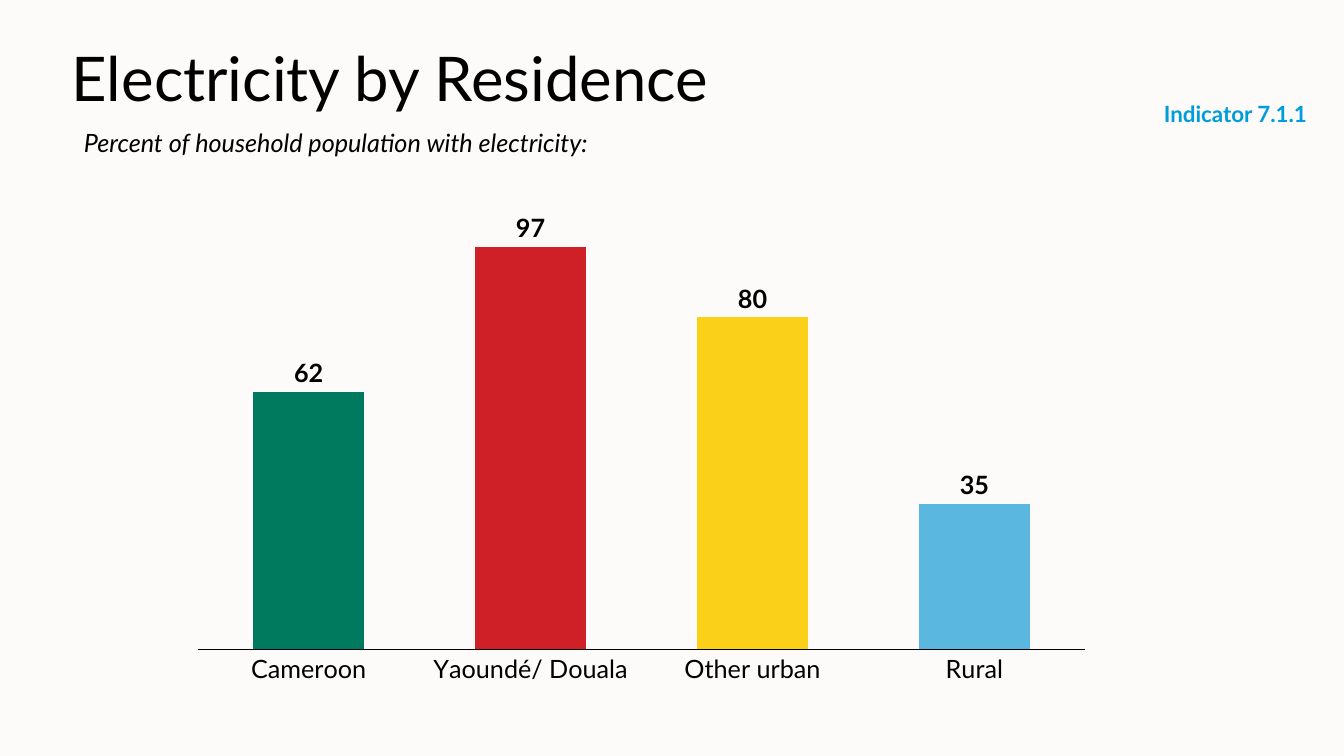
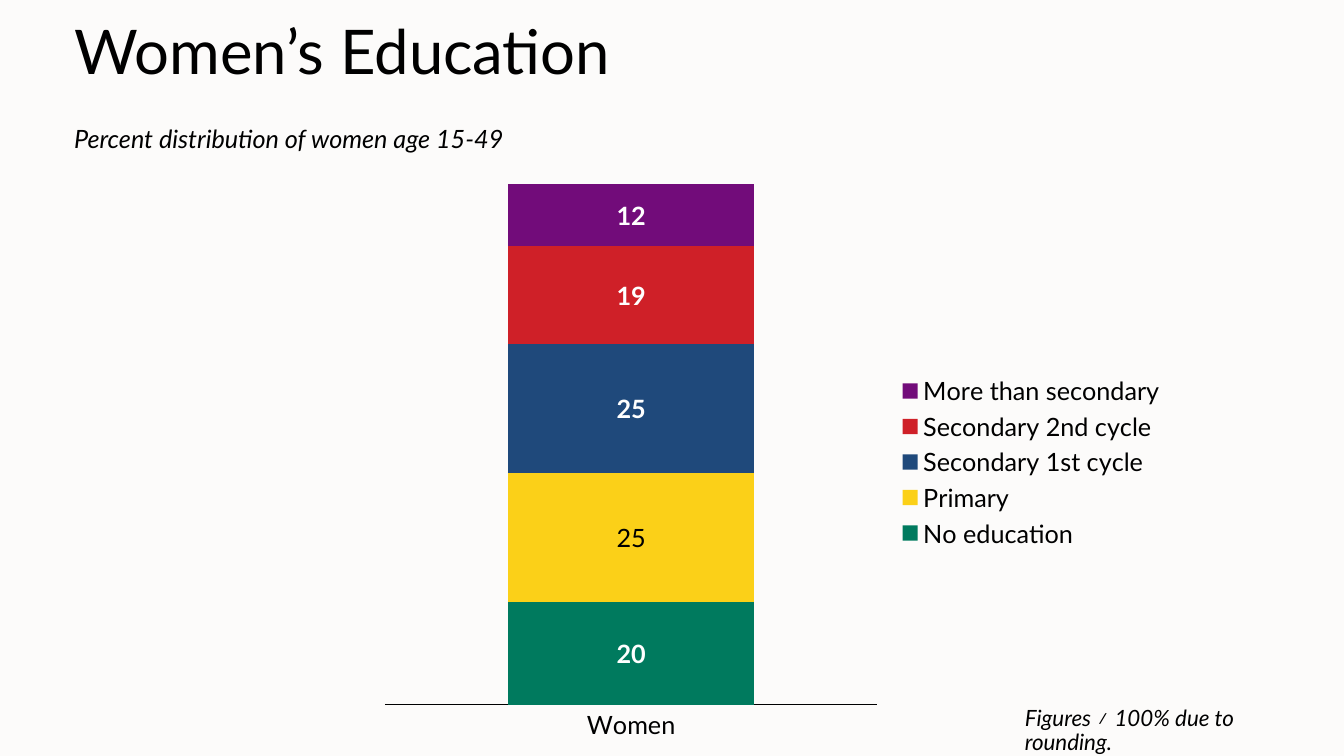
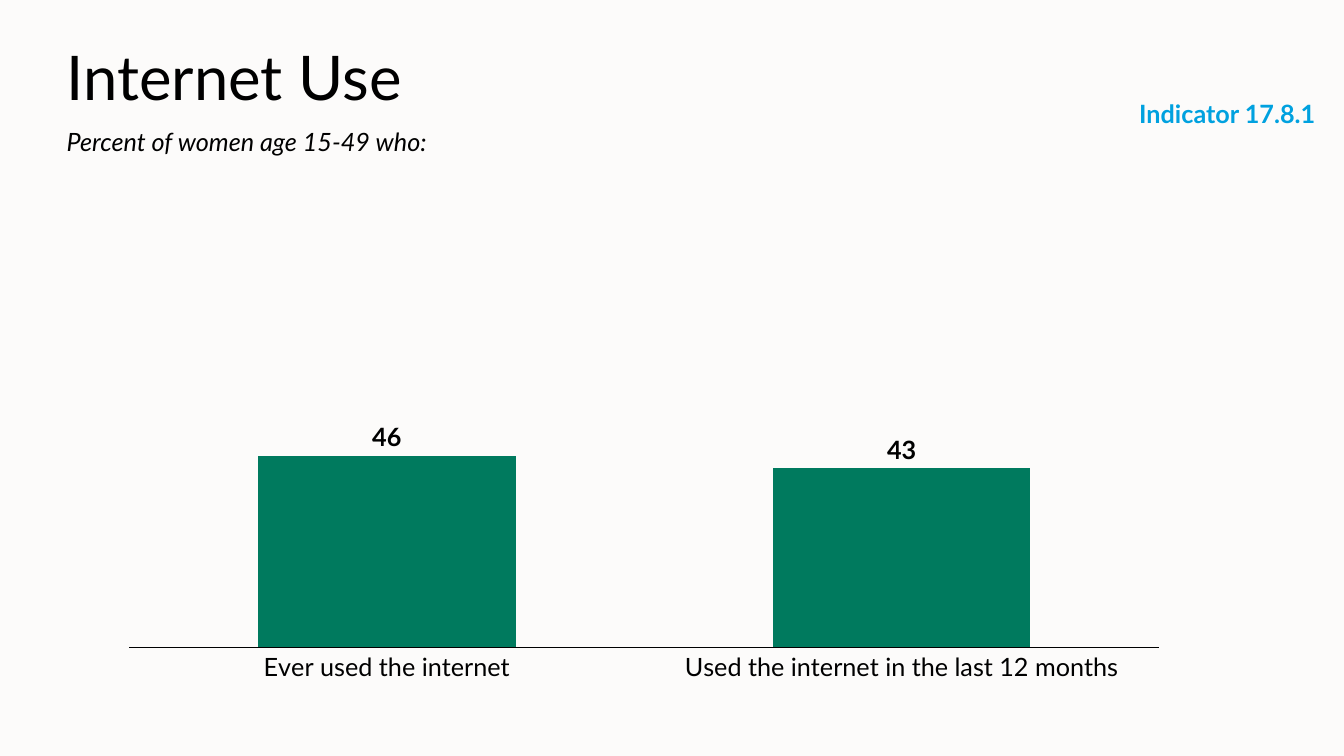
from dataclasses import dataclass

from lxml.etree import SubElement
from pptx import Presentation
from pptx.chart.data import CategoryChartData
from pptx.dml.color import RGBColor
from pptx.enum.chart import XL_CHART_TYPE as ChartType
from pptx.enum.chart import XL_LABEL_POSITION as LabelPos
from pptx.enum.chart import XL_LEGEND_POSITION as LegendPos
from pptx.enum.chart import XL_TICK_LABEL_POSITION as TickLabelPos
from pptx.enum.chart import XL_TICK_MARK as TickMark
from pptx.enum.text import MSO_ANCHOR as Anchor
from pptx.enum.text import MSO_AUTO_SIZE as AutoSize
from pptx.enum.text import PP_ALIGN as Align
from pptx.oxml.ns import qn
from pptx.util import Pt


@dataclass(frozen=True)
class Theme:
    font: str = "Lato"
    paper: str = "FCFBFA"
    ink: str = "000000"
    white: str = "FFFFFF"
    green: str = "007A5E"
    red: str = "CF2028"
    yellow: str = "FBD018"
    sky: str = "5AB7E0"
    navy: str = "1F497B"
    purple: str = "720C7A"
    indicator: str = "009DDA"
    indicator_bright: str = "00A1DF"
    title_size: int = 44
    body_size: int = 18
    small_size: int = 16
    line_spacing: float = 0.9
    axis_width: float = 0.75


T = Theme()

# Text styles
ITALIC = {"size": T.body_size, "italic": True}
INDICATOR = {"size": T.small_size, "bold": True, "color": T.indicator, "align": Align.CENTER}

# Content: boxes are (left, top, width, height) in points;
# a series is (name, values, point fills, label colour, label bold)
SLIDES = [
    {
        "title": ("Electricity by Residence", (44, 21.6, 620, 73.4)),
        "texts": [
            ("Percent of household population with electricity:", (52.8, 89.6, 407, 33), ITALIC),
            ("Indicator 7.1.1", (820.2, 70.2, 124.6, 33), INDICATOR),
        ],
        "chart": {
            "box": (126, 136.6, 664.6, 374.4),
            "plot": (0.023, 0.082, 0.954, 0.792),
            "categories": ["Cameroon", "Yaoundé/ Douala", "Other urban", "Rural"],
            "series": [
                ("Series 1", [62, 97, 80, 35], [T.green, T.red, T.yellow, T.sky], T.ink, True),
            ],
        },
    },
    {
        "title": ("Women’s Education", (45.8, 2.9, 865, 72)),
        "texts": [
            ("Percent distribution of women age 15-49", (45.8, 87.2, 327, 29), ITALIC),
            ("Figures ≠ 100% due to rounding.", (725, 501.8, 225, 30),
             {**ITALIC, "size": T.small_size}),
        ],
        "chart": {
            "box": (263.4, 123.4, 576.7, 413.3),
            "plot": (0.02, 0.02, 0.61, 0.9),
            "stacked": True,
            "categories": ["Women"],
            "series": [
                ("No education", [20], [T.green], T.white, True),
                ("Primary", [25], [T.yellow], T.ink, False),
                ("Secondary 1st cycle", [25], [T.navy], T.white, True),
                ("Secondary 2nd cycle", [19], [T.red], T.white, True),
                ("More than secondary", [12], [T.purple], T.white, True),
            ],
        },
    },
    {
        "title": ("Internet Use", (40.3, 20.9, 620, 73.4)),
        "texts": [
            ("Percent of women age 15-49 who:", (40.5, 89.3, 620, 33), ITALIC),
            ("Indicator 17.8.1", (802.8, 69, 147.6, 33),
             {**INDICATOR, "size": T.body_size, "color": T.indicator_bright}),
        ],
        "chart": {
            "box": (74.7, 121.9, 771, 389.5),
            "plot": (0.023, 0.112, 0.954, 0.762),
            "categories": ["Ever used the internet", "Used the internet in the last 12 months"],
            "series": [
                ("Series 1", [46, 43], [T.green], T.ink, True),
                ("Series 2", [], [T.sky], T.ink, True),
            ],
        },
    },
]


def points(box):
    return [Pt(length) for length in box]


def paint(fill, color):
    fill.solid()
    fill.fore_color.rgb = RGBColor.from_string(color)


def style_font(font, size=T.body_size, color=T.ink, bold=False, italic=False):
    values = {"name": T.font, "size": Pt(size), "bold": bold, "italic": italic}
    for key, value in values.items():
        setattr(font, key, value)
    font.color.rgb = RGBColor.from_string(color)


def write(shape, text, anchor=Anchor.TOP, align=Align.LEFT, **style):
    frame = shape.text_frame
    for key, value in {"word_wrap": True, "auto_size": AutoSize.NONE,
                       "vertical_anchor": anchor}.items():
        setattr(frame, key, value)
    paragraph = frame.paragraphs[0]
    paragraph.alignment = align
    paragraph.line_spacing = T.line_spacing
    run = paragraph.add_run()
    run.text = text
    style_font(run.font, **style)


def place_plot(chart, fractions):
    """Fix the inner plot area as fractions of the chart."""
    area = chart.element.find(".//" + qn("c:plotArea"))
    for old in area.findall(qn("c:layout")):
        area.remove(old)
    layout = SubElement(area, qn("c:layout"))
    area.insert(0, layout)
    manual = SubElement(layout, qn("c:manualLayout"))
    settings = [("layoutTarget", "inner"), ("xMode", "edge"), ("yMode", "edge")]
    settings += zip("xywh", fractions)
    for tag, value in settings:
        SubElement(manual, qn("c:" + tag)).set("val", str(value))


def add_columns(slide, box, plot, categories, series, stacked=False):
    data = CategoryChartData(number_format="0")
    data.categories = categories
    for name, values, *_ in series:
        data.add_series(name, values)
    kind = ChartType.COLUMN_STACKED_100 if stacked else ChartType.COLUMN_CLUSTERED
    chart = slide.shapes.add_chart(kind, *points(box), data).chart
    chart.has_title = False
    style_font(chart.font)
    place_plot(chart, plot)

    # Axes
    category_axis, value_axis = chart.category_axis, chart.value_axis
    category_axis.major_tick_mark = TickMark.NONE
    category_axis.minor_tick_mark = TickMark.NONE
    category_axis.tick_label_position = TickLabelPos.NEXT_TO_AXIS
    style_font(category_axis.tick_labels.font)
    axis_line = category_axis.format.line
    paint(axis_line.fill, T.ink)
    axis_line.width = Pt(T.axis_width)
    value_axis.visible = False
    value_axis.has_major_gridlines = False
    if not stacked:
        value_axis.minimum_scale, value_axis.maximum_scale = 0, 100

    # Legend
    chart.has_legend = stacked
    if stacked:
        chart.legend.position = LegendPos.RIGHT
        chart.legend.include_in_layout = False
        style_font(chart.legend.font)

    # Columns and their labels
    columns = chart.plots[0]
    columns.gap_width = 100
    columns.overlap = 100
    columns.vary_by_categories = False
    for column, (_, _, fills, label_color, bold) in zip(columns.series, series):
        column.invert_if_negative = False
        paint(column.format.fill, fills[0])
        for index, fill in enumerate(fills[1:], start=1):
            paint(column.points[index].format.fill, fill)
        labels = column.data_labels
        labels.show_value = True
        labels.position = LabelPos.CENTER if stacked else LabelPos.OUTSIDE_END
        style_font(labels.font, color=label_color, bold=bold)


def main():
    deck = Presentation()
    deck.slide_width, deck.slide_height = Pt(960), Pt(540)
    paint(deck.slide_master.background.fill, T.paper)
    title_only = deck.slide_layouts[5]

    for content in SLIDES:
        slide = deck.slides.add_slide(title_only)
        title, title_box = content["title"]
        heading = slide.shapes.title
        heading.left, heading.top, heading.width, heading.height = points(title_box)
        write(heading, title, anchor=Anchor.MIDDLE, size=T.title_size)
        add_columns(slide, **content["chart"])
        for text, box, style in content["texts"]:
            write(slide.shapes.add_textbox(*points(box)), text, **style)

    deck.save("out.pptx")


if __name__ == "__main__":
    main()
